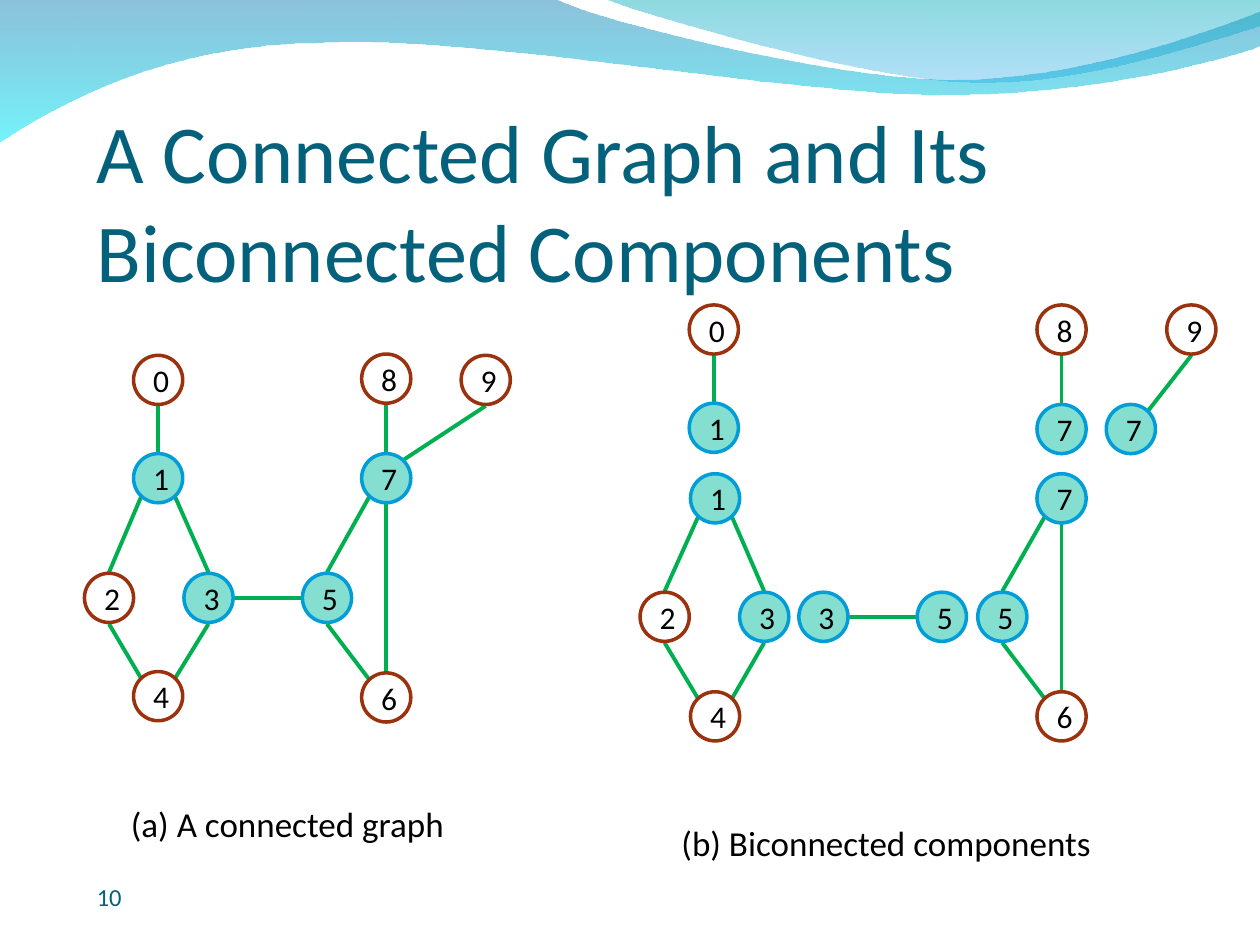
from dataclasses import dataclass
from lxml.etree import Element, SubElement
from pptx import Presentation
from pptx.dml.color import RGBColor
from pptx.enum.shapes import MSO_CONNECTOR, MSO_SHAPE
from pptx.enum.text import MSO_ANCHOR, PP_ALIGN
from pptx.oxml.ns import qn
from pptx.util import Inches, Pt


@dataclass(frozen=True)
class Theme:
    font: str = "Calibri"
    heading: RGBColor = RGBColor.from_string("04617B")
    text: RGBColor = RGBColor.from_string("000000")
    edge: RGBColor = RGBColor.from_string("00B050")
    vertex_line: RGBColor = RGBColor.from_string("9B320E")
    cut_line: RGBColor = RGBColor.from_string("009DD9")
    cut_fill: RGBColor = RGBColor.from_string("85DFD0")
    back_wave: tuple = (("0079AF", 45), ("00EBF8", 55))
    front_wave: tuple = (("00ADB6", 45), ("009BE5", 30))
    title_size: int = 47
    caption_size: int = 20
    vertex_size: int = 18
    number_size: int = 14


def add_label(left, top, width, height, words, size, color):
    label = slide.shapes.add_textbox(Inches(left), Inches(top), Inches(width), Inches(height))
    label.text_frame.word_wrap = True
    label.text_frame.text = words
    font = label.text_frame.paragraphs[0].runs[0].font
    font.name, font.size, font.color.rgb = theme.font, Pt(size), color
    return label


theme = Theme()
deck = Presentation()
deck.slide_width, deck.slide_height = Inches(10), Inches(7.5)
slide = deck.slides.add_slide(deck.slide_layouts[6])

units_per_inch = 100
back_outline = [
    [(0, -1)],
    [(440, -1)],
    [(476, 17), (664, 63), (758, 63)],
    [(853, 63), (958, 26), (1000, 9)],
    [(1001, 36)],
    [(983, 44), (870, 76), (746, 75)],
    [(622, 75), (382, 28), (257, 34)],
    [(129, 35), (46, 83), (-1, 113)],
]
front_outline = [
    [(479, -1)],
    [(509, 11), (682, 62), (769, 65)],
    [(856, 69), (961, 32), (1000, 21)],
    [(1000, 0)],
]
for outline, shades in ((back_outline, theme.back_wave), (front_outline, theme.front_wave)):
    anchors = [segment[-1] for segment in outline]
    left, top = (min(axis) for axis in zip(*anchors))
    builder = slide.shapes.build_freeform(*anchors[0], scale=Inches(1) / units_per_inch)
    builder.add_line_segments(anchors[1:], close=True)
    wave = builder.convert_to_shape()
    for straight, segment in zip(list(wave._element.iter(qn("a:lnTo"))), outline[1:]):
        if len(segment) == 3:
            curve = Element(qn("a:cubicBezTo"))
            for x, y in segment:
                SubElement(curve, qn("a:pt"), x=str(x - left), y=str(y - top))
            straight.getparent().replace(straight, curve)
    wave.shadow.inherit = False
    wave.line.fill.background()
    wave.fill.gradient()
    wave.fill.gradient_angle = 270
    for stop, position, (shade, opacity) in zip(wave.fill.gradient_stops, (0, 1), shades):
        stop.position = position
        stop.color.rgb = RGBColor.from_string(shade)
    colors = wave._element.spPr.iter(qn("a:srgbClr"))
    for color, (shade, opacity) in zip(colors, shades):
        SubElement(color, qn("a:alpha"), val=str(opacity * 1000))

title = add_label(0.67, 1.17, 9, 1.25, "A Connected Graph and Its Biconnected Components",
                  theme.title_size, theme.heading)
title.text_frame.vertical_anchor = MSO_ANCHOR.BOTTOM
add_label(0.67, 6.95, 2.17, 0.4, "10", theme.number_size, theme.heading)
add_label(0.94, 6.32, 2.81, 0.44, "(a) A connected graph", theme.caption_size, theme.text)
add_label(5.31, 6.47, 3.91, 0.44, "(b) Biconnected components", theme.caption_size, theme.text)

diameter = 0.39
sites = {
    "N": (0.5, -0.02), "S": (0.5, 1.03), "W": (-0.02, 0.5), "E": (1.02, 0.5),
    "NW": (0.15, 0.13), "NE": (0.85, 0.13), "SW": (0.15, 0.89), "SE": (0.85, 0.89),
}
edges = [
    (0, "S", 1, "N"), (1, "SW", 2, "N"), (1, "SE", 3, "N"), (2, "S", 4, "NW"),
    (3, "S", 4, "NE"), (3, "E", 5, "W"), (7, "SW", 5, "N"), (5, "S", 6, "NW"),
    (7, "S", 6, "N"), (8, "S", 7, "N"), (7, "NE", 9, "S"),
]
cut_vertices = {1, 3, 5, 7}
connected_graph = {
    0: (1.06, 2.82), 1: (1.06, 3.6), 2: (0.67, 4.55), 3: (1.46, 4.55), 4: (1.06, 5.33),
    5: (2.4, 4.55), 8: (2.87, 2.81), 7: (2.87, 3.6), 6: (2.87, 5.34), 9: (3.66, 2.82),
}
biconnected_components = [
    {1: (5.48, 3.76), 2: (5.08, 4.7), 3: (5.87, 4.7), 4: (5.48, 5.49)},
    {5: (7.76, 4.7), 7: (8.23, 3.76), 6: (8.23, 5.49)},
    {0: (5.47, 2.42), 1: (5.47, 3.2)},
    {3: (6.34, 4.7), 5: (7.28, 4.7)},
    {8: (8.23, 2.42), 7: (8.23, 3.21)},
    {7: (8.78, 3.21), 9: (9.26, 2.42)},
]

for vertices in [connected_graph, *biconnected_components]:
    for start, start_site, end, end_site in edges:
        if start not in vertices or end not in vertices:
            continue
        ends = []
        for vertex, site in ((start, start_site), (end, end_site)):
            ends += [Inches(corner + diameter * share)
                     for corner, share in zip(vertices[vertex], sites[site])]
        edge = slide.shapes.add_connector(MSO_CONNECTOR.STRAIGHT, *ends)
        edge.line.color.rgb = theme.edge
        edge.line.width = Pt(2.25)
        SubElement(edge._element.spPr, qn("a:effectLst"))

    for vertex, (left, top) in vertices.items():
        circle = slide.shapes.add_shape(MSO_SHAPE.OVAL, Inches(left), Inches(top),
                                        Inches(diameter), Inches(diameter))
        circle.shadow.inherit = False
        circle.line.width = Pt(2)
        if vertex in cut_vertices:
            circle.fill.solid()
            circle.fill.fore_color.rgb = theme.cut_fill
            circle.line.color.rgb = theme.cut_line
        else:
            circle.fill.background()
            circle.line.color.rgb = theme.vertex_line
        circle.text_frame.text = str(vertex)
        circle.text_frame.vertical_anchor = MSO_ANCHOR.MIDDLE
        number = circle.text_frame.paragraphs[0]
        number.alignment = PP_ALIGN.CENTER
        font = number.runs[0].font
        font.name, font.size, font.color.rgb = theme.font, Pt(theme.vertex_size), theme.text

deck.save("out.pptx")
